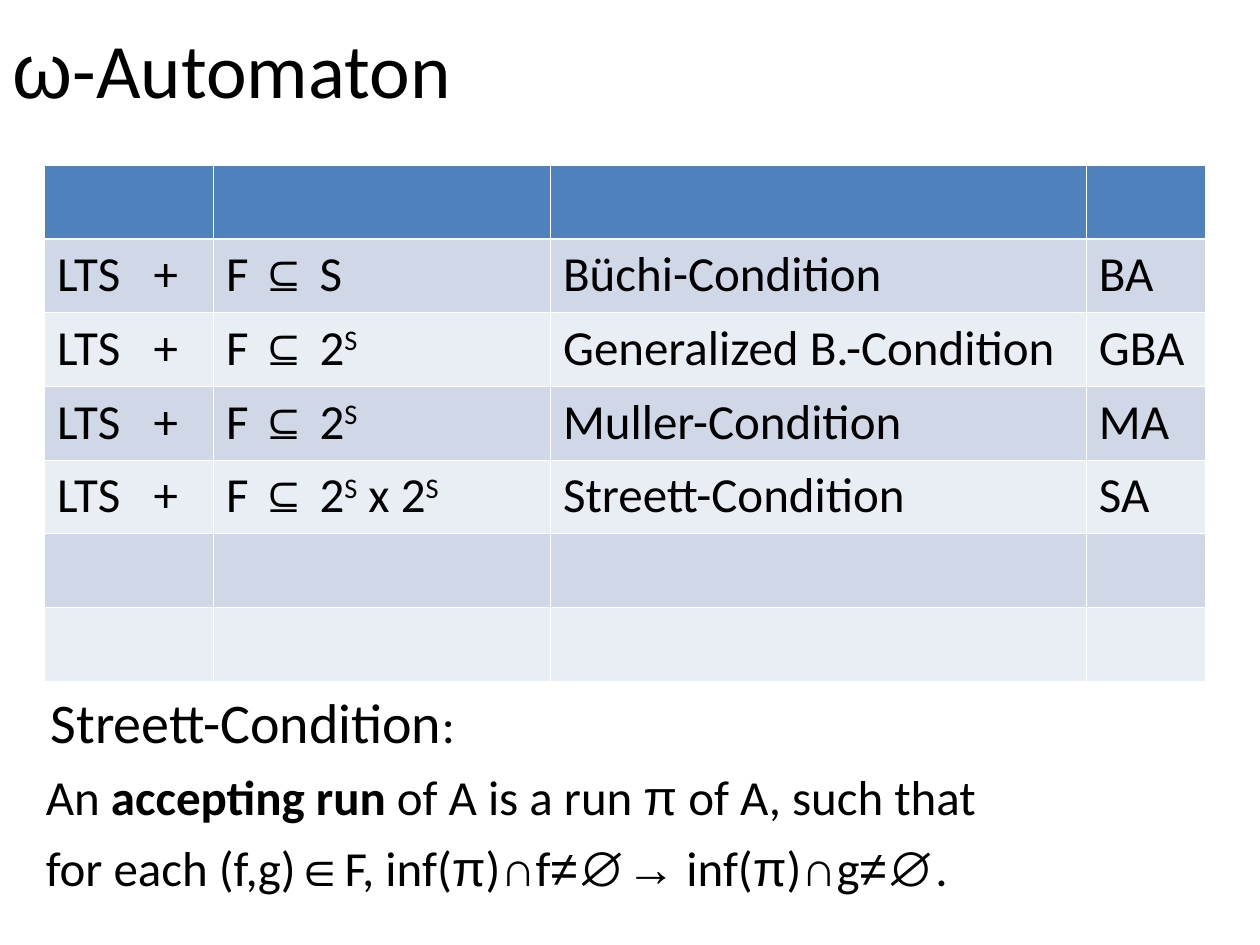
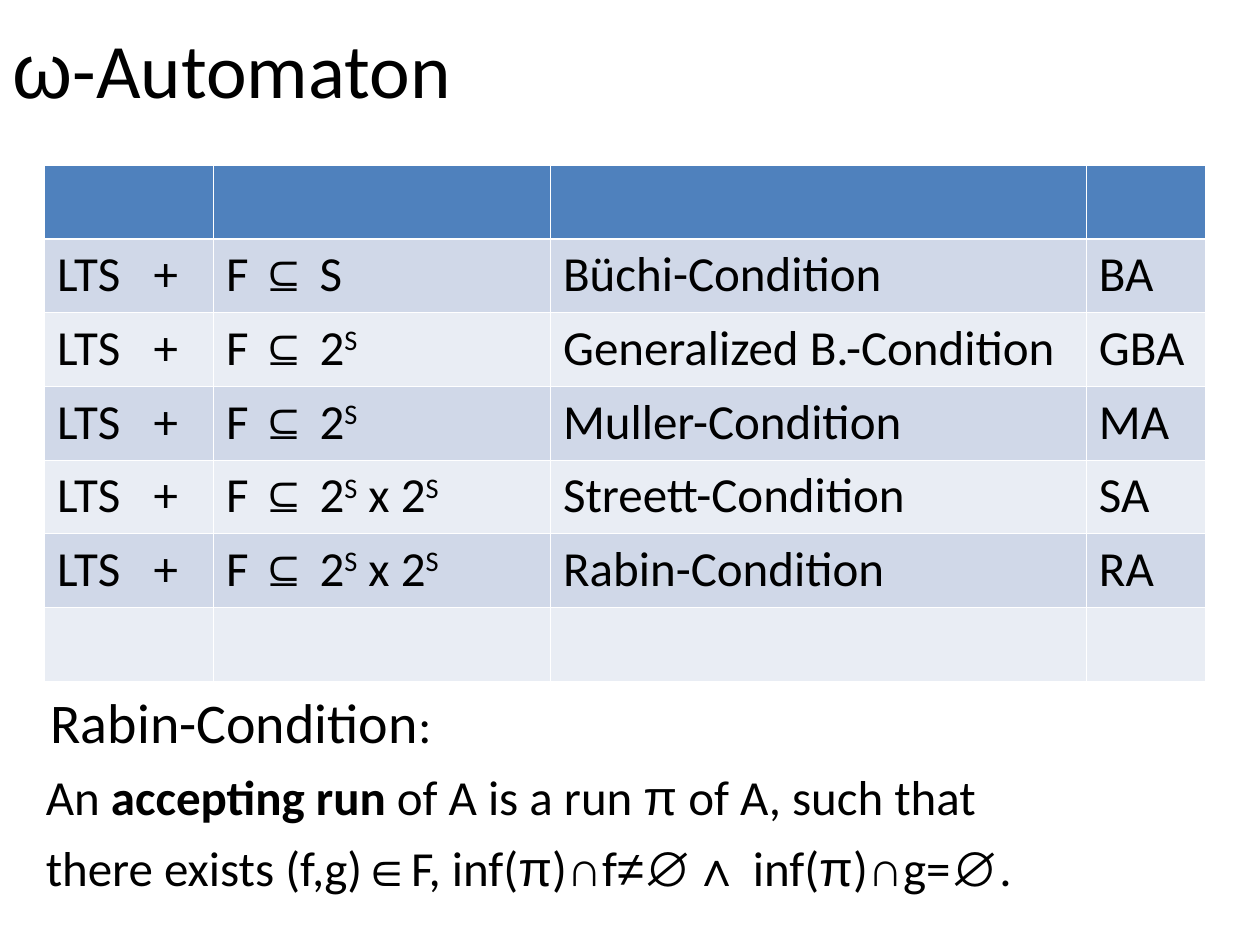
import lxml.etree
import pptx
import pptx.dml.color
import pptx.enum.text
import pptx.oxml.ns
import pptx.util

Pt = pptx.util.Pt
RGBColor = pptx.dml.color.RGBColor
qn = pptx.oxml.ns.qn

BLACK = RGBColor(0x00, 0x00, 0x00)
WHITE = RGBColor(0xFF, 0xFF, 0xFF)
HEADER_BLUE = RGBColor(0x4F, 0x81, 0xBD)
BANDS = (RGBColor(0xD0, 0xD8, 0xE8), RGBColor(0xE9, 0xED, 0xF4))

SYMBOL = {"font": "Arial"}
SUPER = {"baseline": 30000}
WIDE = {"spc": 1270}
BOLD = {"bold": True}

HEADING = [("ω", SYMBOL), "-Automaton"]
LTS = ["LTS", (" ", WIDE), "+"]
SUBSET = ["F ", ("⊆", SYMBOL), " "]
POWER_SET = SUBSET + ["2", ("S", SUPER)]
PAIRS = POWER_SET + [" x 2", ("S", SUPER)]
CONDITIONS = [
    (SUBSET + ["S"], "Büchi", "BA"),
    (POWER_SET, "Generalized B.", "GBA"),
    (POWER_SET, "Muller", "MA"),
    (PAIRS, "Streett", "SA"),
    (PAIRS, "Rabin", "RA"),
]

ACCEPTING_RUN = ["An ", ("accepting run ", BOLD), "of A is a run ", ("π", SYMBOL),
                 " of A, such that"]
INF_MEETS = ["inf(", ("π", SYMBOL), ")", ("∩", SYMBOL)]
MEMBER = [("∈", SYMBOL), "F, "] + INF_MEETS + ["f"]
SLIDES = [
    {"known": 4, "name": "Streett",
     "rule": ["for each (f,g)"] + MEMBER + [("≠∅→", SYMBOL), " "] + INF_MEETS
             + ["g", ("≠∅", SYMBOL), "."]},
    {"known": 5, "name": "Rabin",
     "rule": ["there exists (f,g)"] + MEMBER + [("≠∅∧", SYMBOL), " "] + INF_MEETS
             + ["g=", ("∅", SYMBOL), "."]},
]

SLIDE_WIDTH, SLIDE_HEIGHT = 720, 540
TITLE_BOX = (0, 0, SLIDE_WIDTH, 77)
BODY_BOX = (0, 389, SLIDE_WIDTH, 137.5)
TABLE_LEFT, TABLE_TOP = 25.5, 94.5
COLUMNS = (96.5, 192.6, 306.2, 68)
ROW_COUNT, ROW_HEIGHT = 7, 42.1
THIN, THICK = 0.45, 1.47


def write(paragraph, runs, size=28, before=0, indent=0):
    paragraph.alignment = pptx.enum.text.PP_ALIGN.LEFT
    paragraph.space_before = Pt(before)
    paragraph.line_spacing = 1.0
    properties = paragraph._p.get_or_add_pPr()
    properties.set("marL", str(Pt(indent)))
    properties.set("indent", "0")
    lxml.etree.SubElement(properties, qn("a:buNone"))
    for part in runs:
        words, style = (part, {}) if isinstance(part, str) else part
        run = paragraph.add_run()
        run.text = words
        run.font.size = Pt(style.get("size", size))
        run.font.bold = style.get("bold", False)
        run.font.color.rgb = BLACK
        run.font.name = style.get("font", "Calibri")
        run_properties = run._r.get_or_add_rPr()
        for script in ("a:ea", "a:cs"):
            lxml.etree.SubElement(run_properties, qn(script), typeface=run.font.name)
        for attribute in ("baseline", "spc"):
            if attribute in style:
                run_properties.set(attribute, str(style[attribute]))


def place(placeholder, box):
    placeholder.left, placeholder.top, placeholder.width, placeholder.height = map(Pt, box)
    frame = placeholder.text_frame
    frame.word_wrap = True
    frame.auto_size = pptx.enum.text.MSO_AUTO_SIZE.NONE
    return frame


def paint(cell, colour, top, bottom):
    properties = cell._tc.get_or_add_tcPr()
    for side, width in (("L", THIN), ("R", THIN), ("T", top), ("B", bottom)):
        line = lxml.etree.SubElement(properties, qn("a:ln" + side), w=str(Pt(width)))
        fill = lxml.etree.SubElement(line, qn("a:solidFill"))
        lxml.etree.SubElement(fill, qn("a:srgbClr"), val=str(WHITE))
    cell.fill.solid()
    cell.fill.fore_color.rgb = colour


def add_conditions(slide, known):
    table = slide.shapes.add_table(
        ROW_COUNT, len(COLUMNS), Pt(TABLE_LEFT), Pt(TABLE_TOP),
        Pt(sum(COLUMNS)), Pt(ROW_COUNT * ROW_HEIGHT)).table
    for column, width in zip(table.columns, COLUMNS):
        column.width = Pt(width)
    for index, row in enumerate(table.rows):
        row.height = Pt(ROW_HEIGHT)
        colour = BANDS[(index - 1) % 2] if index else HEADER_BLUE
        for cell in row.cells:
            paint(cell, colour, THICK if index == 1 else THIN, THIN if index else THICK)
    for index, (accepting, name, short) in enumerate(CONDITIONS[:known], start=1):
        entries = (LTS, accepting, [name + "-Condition"], [short])
        for cell, runs in zip(table.rows[index].cells, entries):
            write(cell.text_frame.paragraphs[0], runs)


def add_slide(deck, content):
    slide = deck.slides.add_slide(deck.slide_layouts[1])
    title = place(slide.shapes.title, TITLE_BOX)
    title.vertical_anchor = pptx.enum.text.MSO_ANCHOR.MIDDLE
    write(title.paragraphs[0], HEADING, size=44)

    body = place(slide.placeholders[1], BODY_BOX)
    condition = [(content["name"] + "-Condition", {"size": 32}), ":"]
    write(body.paragraphs[0], condition, before=7, indent=21.7)
    for sentence in (ACCEPTING_RUN, content["rule"]):
        write(body.add_paragraph(), sentence, before=7, indent=19)

    add_conditions(slide, content["known"])


def main():
    deck = pptx.Presentation()
    deck.slide_width, deck.slide_height = Pt(SLIDE_WIDTH), Pt(SLIDE_HEIGHT)
    for content in SLIDES:
        add_slide(deck, content)
    deck.save("out.pptx")


if __name__ == "__main__":
    main()
